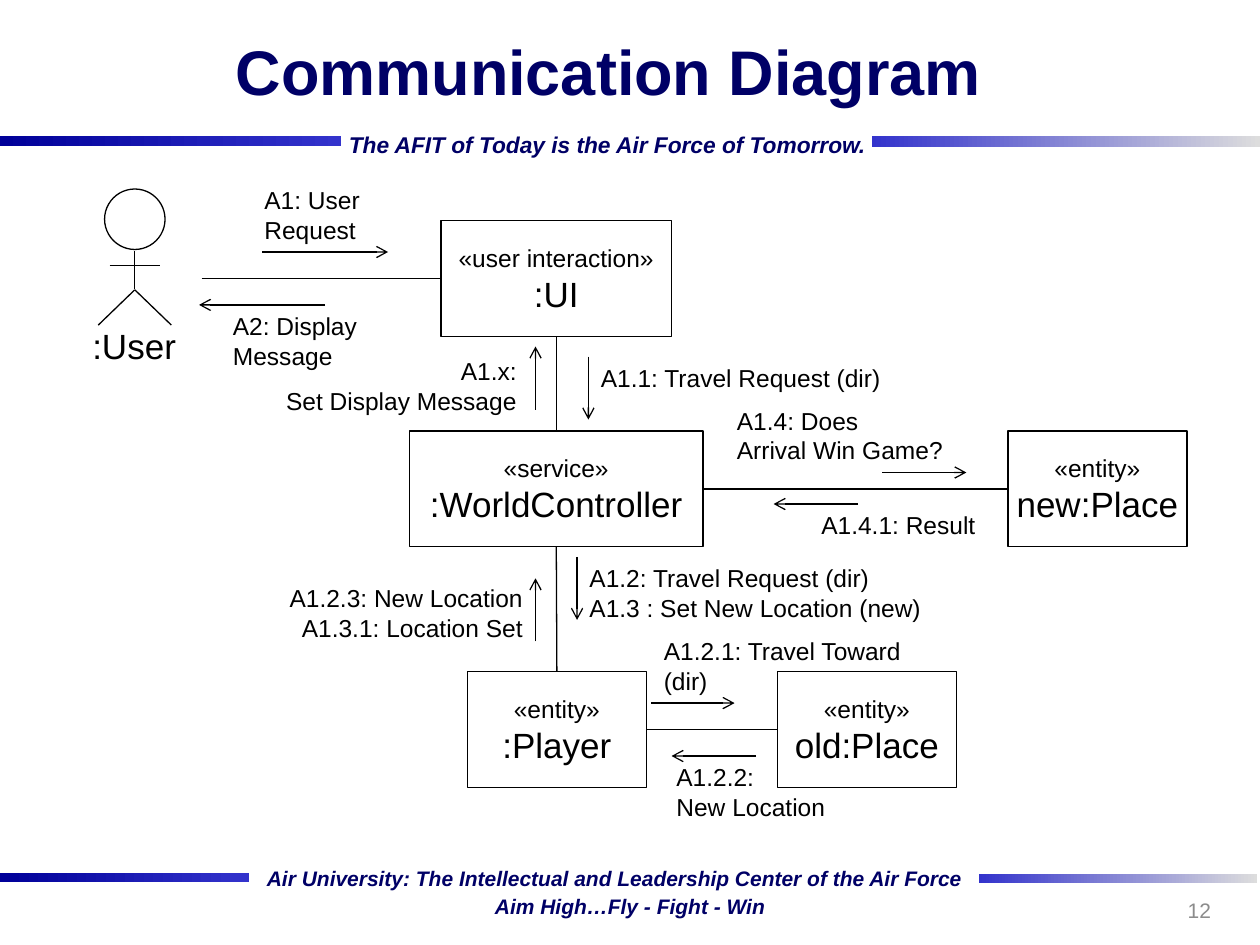
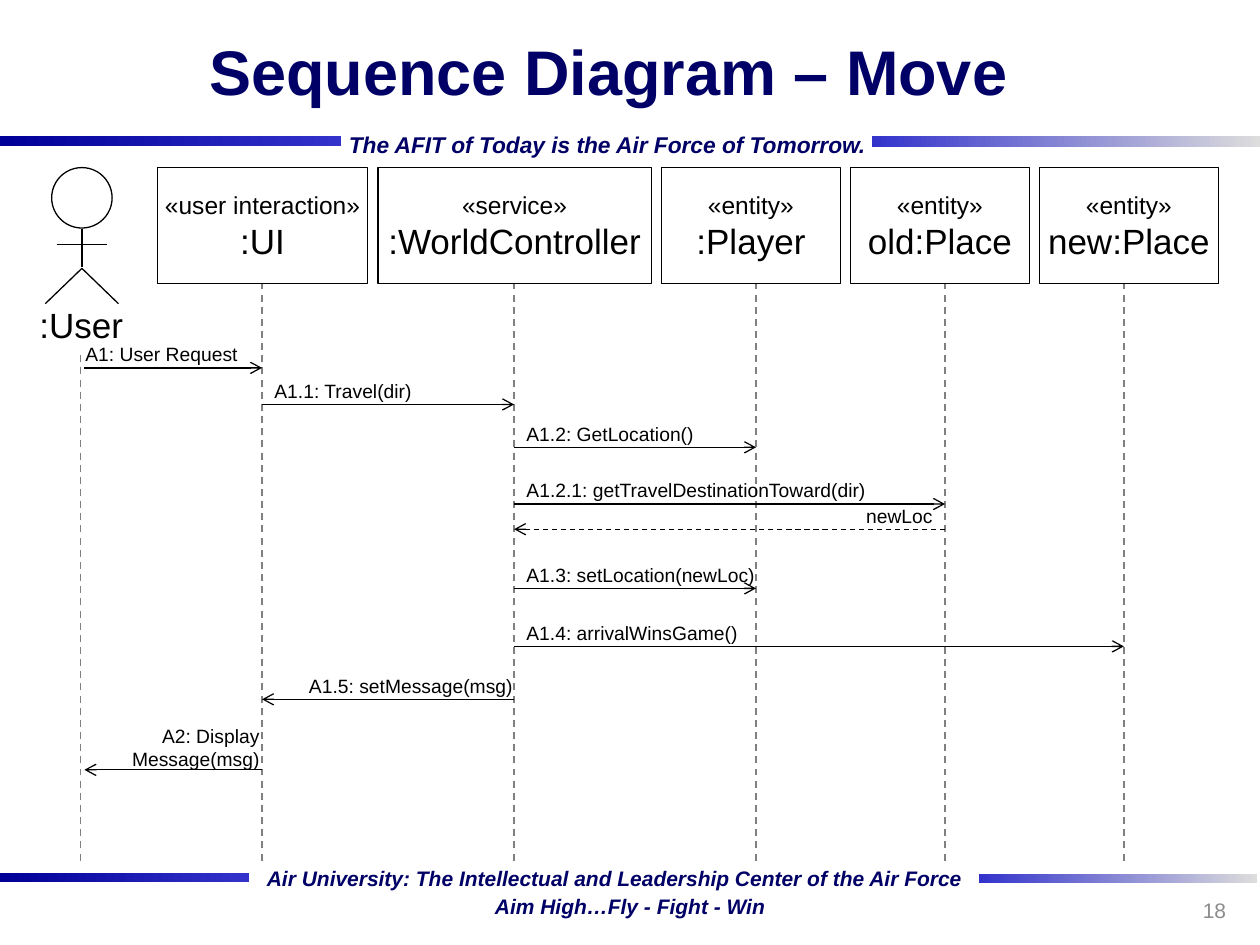
from lxml import etree
from pptx import Presentation
from pptx.dml.color import RGBColor
from pptx.enum.dml import MSO_LINE
from pptx.enum.shapes import MSO_CONNECTOR, MSO_SHAPE
from pptx.enum.text import MSO_ANCHOR, MSO_AUTO_SIZE, PP_ALIGN
from pptx.oxml.ns import qn
from pptx.util import Inches, Pt

NAVY = RGBColor(0x00, 0x00, 0x66)
DEEP_BLUE = RGBColor(0x00, 0x00, 0x99)
BLUE = RGBColor(0x33, 0x33, 0xCC)
SILVER = RGBColor(0xDD, 0xDD, 0xDD)
GRAY = RGBColor(0x80, 0x80, 0x80)
PAGE_GRAY = RGBColor(0x8C, 0x8C, 0x8C)
BLACK = RGBColor(0x00, 0x00, 0x00)
WHITE = RGBColor(0xFF, 0xFF, 0xFF)
LEFT, CENTER, RIGHT = PP_ALIGN.LEFT, PP_ALIGN.CENTER, PP_ALIGN.RIGHT
FONT = "Arial"
BOX_HEIGHT = 0.92
TOP_SIDE, LEFT_SIDE, BOTTOM_SIDE, RIGHT_SIDE = range(4)

# left, top, width, height, start colour, end colour
BANDS = [
    (0, 1.08, 2.71, 0.08, DEEP_BLUE, BLUE),
    (6.92, 1.08, 3.08, 0.09, BLUE, SILVER),
    (0, 6.93, 1.98, 0.07, DEEP_BLUE, BLUE),
    (7.77, 6.94, 2.21, 0.07, BLUE, SILVER),
]
# text, left, top, width, height, size
MOTTOES = [
    ("The AFIT of Today is the Air Force of Tomorrow.", 2.67, 0.99, 4.35, 0.31, 13),
    ("Air University: The Intellectual and Leadership Center of the Air Force",
     2.02, 6.82, 5.76, 0.29, 12),
    ("Aim High…Fly - Fight - Win", 3.83, 7.04, 2.36, 0.29, 12),
]

# name: stereotype, left, top, width
OBJECTS = {
    ":UI": ("«user interaction»", 3.5, 1.75, 1.83),
    ":WorldController": ("«service»", 3.25, 3.42, 2.33),
    ":Player": ("«entity»", 3.71, 5.33, 1.42),
    "old:Place": ("«entity»", 6.17, 5.33, 1.42),
    "new:Place": ("«entity»", 8, 3.42, 1.42),
}
# object, side, object, side
LINKS = [
    (":UI", BOTTOM_SIDE, ":WorldController", TOP_SIDE),
    (":WorldController", BOTTOM_SIDE, ":Player", TOP_SIDE),
    (":WorldController", RIGHT_SIDE, "new:Place", LEFT_SIDE),
    (":Player", RIGHT_SIDE, "old:Place", LEFT_SIDE),
]
# lines, left, top, width, alignment, arrow start, arrow end
EXCHANGES = [
    (["A1: User Request"], 2, 1.42, 1, LEFT, (2.08, 2), (3.08, 2)),
    (["A2: Display Message"], 1.75, 2.42, 1.75, LEFT, (2.58, 2.42), (1.58, 2.42)),
    (["A1.1: Travel Request (dir)"], 4.67, 2.83, 2.5, LEFT, (4.67, 2.83), (4.67, 3.33)),
    (["A1.x:", "Set Display Message"], 2.17, 2.78, 2.03, RIGHT, (4.25, 3.25), (4.25, 2.75)),
    (["A1.2: Travel Request (dir)", "A1.3 : Set New Location (new)"],
     4.58, 4.42, 3, LEFT, (4.58, 4.42), (4.58, 4.92)),
    (["A1.2.1: Travel Toward", "(dir)"], 5.17, 5, 2.33, LEFT, (5.17, 5.58), (5.83, 5.58)),
    (["A1.2.2:", "New Location"], 5.27, 6, 1.5, LEFT, (6, 6), (5.33, 6)),
    (["A1.2.3: New Location", "A1.3.1: Location Set"],
     1.42, 4.58, 2.83, RIGHT, (4.25, 5.09), (4.25, 4.59)),
    (["A1.4: Does", "Arrival Win Game?"], 5.75, 3.17, 2.67, LEFT, (7, 3.75), (7.67, 3.75)),
    (["A1.4.1: Result"], 6.42, 4, 1.5, LEFT, (6.81, 4), (6.14, 4)),
]

# name, stereotype, box width, lifeline x
PARTICIPANTS = [
    (":UI", "«user interaction»", 1.67, 2.08),
    (":WorldController", "«service»", 2.17, 4.08),
    (":Player", "«entity»", 1.42, 6),
    ("old:Place", "«entity»", 1.42, 7.5),
    ("new:Place", "«entity»", 1.42, 8.92),
]
PARTICIPANT_LEFT, PARTICIPANT_TOP, PARTICIPANT_GAP = 1.25, 1.33, 0.08
LIFELINE_END = 6.83
USER_LIFELINE_X, USER_MESSAGE_X, USER_LIFELINE_TOP = 0.64, 0.67, 2.8
# lines, sender, receiver, y, label left, label width, dashed
MESSAGES = [
    (["A1: User Request"], ":User", ":UI", 2.92, 0.58, 1.5, False),
    (["A1.1: Travel(dir)"], ":UI", ":WorldController", 3.21, 2.08, 1.83, False),
    (["A1.2: GetLocation()"], ":WorldController", ":Player", 3.55, 4.08, 1.83, False),
    (["A1.2.1: getTravelDestinationToward(dir)"],
     ":WorldController", "old:Place", 4, 4.08, 3.08, False),
    (["newLoc"], "old:Place", ":WorldController", 4.2, 4.92, 2.58, True),
    (["A1.3: setLocation(newLoc)"], ":WorldController", ":Player", 4.67, 4.08, 2.17, False),
    (["A1.4: arrivalWinsGame()"], ":WorldController", "new:Place", 5.13, 4.08, 2.17, False),
    (["A1.5: setMessage(msg)"], ":WorldController", ":UI", 5.55, 2, 2.17, False),
    (["A2: Display", "Message(msg)"], ":UI", ":User", 6.11, 0.83, 1.33, False),
]


def write(frame, lines, sizes=(14,), color=BLACK, align=LEFT, bold=False, italic=False,
          anchor=MSO_ANCHOR.TOP, wrap=True, grow=False):
    """Fill a text frame; the last size serves all remaining lines."""
    frame.word_wrap = wrap
    frame.auto_size = MSO_AUTO_SIZE.SHAPE_TO_FIT_TEXT if grow else MSO_AUTO_SIZE.NONE
    frame.vertical_anchor = anchor
    for index, line in enumerate(lines):
        para = frame.paragraphs[0] if index == 0 else frame.add_paragraph()
        para.alignment = align
        span = para.add_run()
        span.text = line
        font = span.font
        font.name, font.size = FONT, Pt(sizes[min(index, len(sizes) - 1)])
        font.bold, font.italic, font.color.rgb = bold, italic, color


def add_text(page, lines, left, top, width, height, **style):
    box = page.shapes.add_textbox(Inches(left), Inches(top), Inches(width), Inches(height))
    write(box.text_frame, lines, **style)
    return box


def add_line(page, start=(0, 0), end=(0, 0), color=BLACK, weight=0.75, dashed=False, arrow=False):
    line = page.shapes.add_connector(
        MSO_CONNECTOR.STRAIGHT, *(Inches(value) for value in (*start, *end)))
    line.line.color.rgb = color
    line.line.width = Pt(weight)
    if dashed:
        line.line.dash_style = MSO_LINE.DASH
    properties = line._element.spPr
    if arrow:
        etree.SubElement(properties.find(qn("a:ln")), qn("a:tailEnd"), type="arrow")
    etree.SubElement(properties, qn("a:effectLst"))
    return line


def add_outline(page, preset, left, top, width, height):
    """Add a white shape with a thin black outline."""
    shape = page.shapes.add_shape(
        preset, Inches(left), Inches(top), Inches(width), Inches(height))
    shape.shadow.inherit = False
    shape.fill.solid()
    shape.fill.fore_color.rgb = WHITE
    shape.line.color.rgb = BLACK
    shape.line.width = Pt(0.75)
    return shape


def add_object(page, name, stereotype, left, top, width):
    box = add_outline(page, MSO_SHAPE.RECTANGLE, left, top, width, BOX_HEIGHT)
    write(box.text_frame, [stereotype, name], sizes=(14, 20), align=CENTER,
          anchor=MSO_ANCHOR.MIDDLE, wrap=False)
    return box


def add_actor(page, center, top):
    """Draw the stick figure of the user around a vertical centre line."""
    add_outline(page, MSO_SHAPE.OVAL, center - 0.24, top, 0.48, 0.48)
    hip = (center, top + 0.8)
    add_line(page, (center, top + 0.49), (center, top + 0.79))
    for side in (-1, 1):
        add_line(page, hip, (center + side * 0.29, top + 1.08))
    add_line(page, (center - 0.2, top + 0.61), (center + 0.2, top + 0.61))
    add_text(page, [":User"], center - 0.44, top + 1.03, 0.87, 0.44,
             sizes=(20,), align=CENTER, wrap=False, grow=True)


def add_page(deck, title, number, number_left):
    page = deck.slides.add_slide(deck.slide_layouts[6])
    for left, top, width, height, start, end in BANDS:
        band = page.shapes.add_shape(
            MSO_SHAPE.RECTANGLE, Inches(left), Inches(top), Inches(width), Inches(height))
        band.shadow.inherit = False
        band.line.fill.background()
        band.fill.gradient()
        band.fill.gradient_angle = 0
        for stop, color, position in zip(band.fill.gradient_stops, (start, end), (0, 1)):
            stop.color.rgb = color
            stop.position = position
    for text, left, top, width, height, size in MOTTOES:
        add_text(page, [text], left, top, width, height, sizes=(size,), color=NAVY,
                 bold=True, italic=True, wrap=False, grow=True)
    add_text(page, [title], 0.58, 0, 8.5, 1.12, sizes=(36,), color=NAVY, bold=True,
             align=CENTER, anchor=MSO_ANCHOR.MIDDLE)
    add_text(page, [number], number_left, 7.02, 2.33, 0.4, sizes=(12,), color=PAGE_GRAY,
             align=RIGHT, anchor=MSO_ANCHOR.MIDDLE)
    return page


def build_communication(deck):
    page = add_page(deck, "Communication Diagram", "12", 7.38)
    add_actor(page, 1.07, 1.5)
    boxes = {name: add_object(page, name, *place) for name, place in OBJECTS.items()}
    user_link = add_line(page, (1.6, 2.21), (3.5, 2.21))
    user_link.end_connect(boxes[":UI"], LEFT_SIDE)
    for first, first_side, second, second_side in LINKS:
        link = add_line(page)
        link.begin_connect(boxes[first], first_side)
        link.end_connect(boxes[second], second_side)
    for lines, left, top, width, align, start, end in EXCHANGES:
        height = 0.34 if len(lines) == 1 else 0.57
        add_text(page, lines, left, top, width, height, align=align, grow=True)
        add_line(page, start, end, arrow=True)


def build_sequence(deck):
    page = add_page(deck, "Sequence Diagram – Move", "18", 7.5)
    add_actor(page, 0.65, PARTICIPANT_TOP)
    lifelines = [(USER_LIFELINE_X, USER_LIFELINE_TOP)]
    message_x = {":User": USER_MESSAGE_X}
    left = PARTICIPANT_LEFT
    for name, stereotype, width, x in PARTICIPANTS:
        add_object(page, name, stereotype, left, PARTICIPANT_TOP, width)
        lifelines.append((x, PARTICIPANT_TOP + BOX_HEIGHT))
        message_x[name] = x
        left += width + PARTICIPANT_GAP
    for x, top in lifelines:
        add_line(page, (x, LIFELINE_END), (x, top), color=GRAY, weight=1, dashed=True)
    for lines, sender, receiver, y, label_left, label_width, dashed in MESSAGES:
        start, end = message_x[sender], message_x[receiver]
        label_rise, height = (0.25, 0.29) if len(lines) == 1 else (0.41, 0.47)
        add_text(page, lines, label_left, y - label_rise, label_width, height, sizes=(11,),
                 align=LEFT if start < end else RIGHT, grow=True)
        add_line(page, (start, y), (end, y), dashed=dashed, arrow=True)


def main():
    deck = Presentation()
    deck.slide_width, deck.slide_height = Inches(10), Inches(7.5)
    build_communication(deck)
    build_sequence(deck)
    deck.save("out.pptx")


if __name__ == "__main__":
    main()
